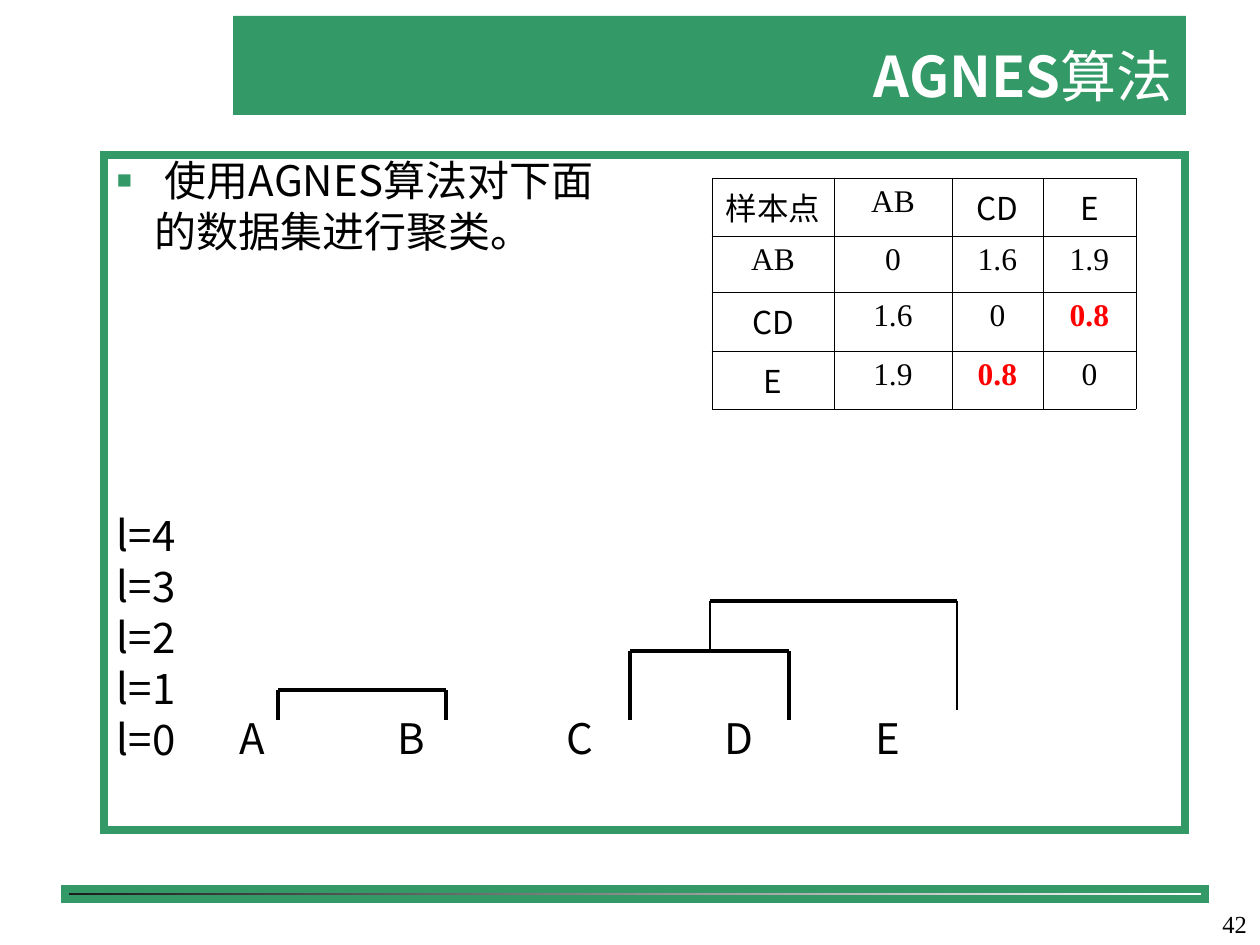
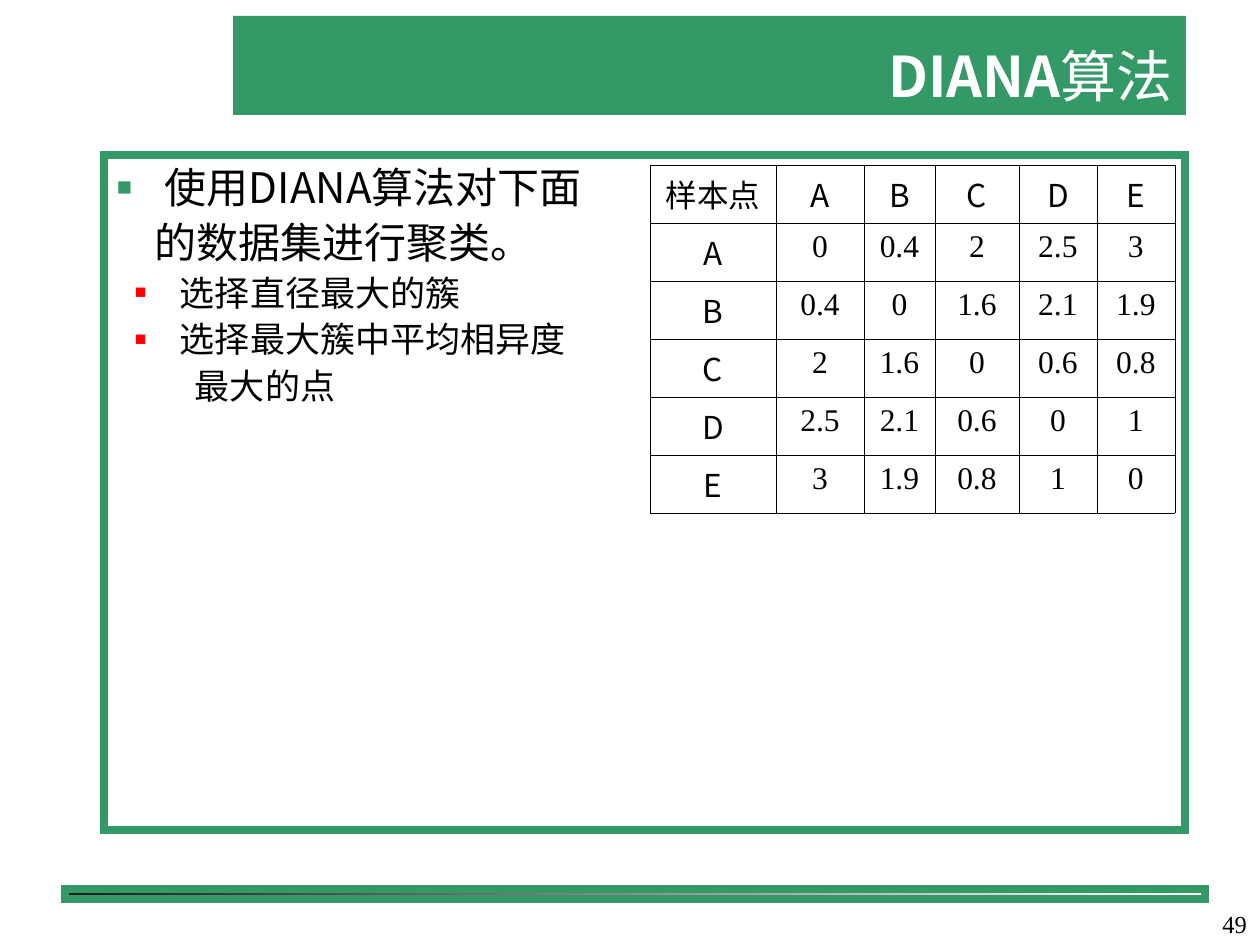
from lxml import etree
from pptx import Presentation
from pptx import util as u
from pptx.dml.color import RGBColor
from pptx.enum import shapes, text
from pptx.oxml import ns

SCALE = 914400 / 126  # EMU in one px
COLORS = {"green": "339966", "red": "FF0000", "black": "000000",
          "white": "FFFFFF", "dark": "1C1C1C"}
SANS = "Noto Sans CJK JP"
TITLE_FONT = "Noto Sans CJK SC"
SERIF = "Times New Roman"
INSET = 13


def px(length):
    return u.Emu(round(length * SCALE))


def rgb(name):
    return RGBColor.from_string(COLORS[name])


def add_xml(parent, tag, **attributes):
    return etree.SubElement(parent, ns.qn(tag), attributes)


# Text
def style(para, size, color="black", face=SANS, align=None):
    font = para.font
    font.size, font.name, font.bold = u.Pt(size), face, False
    font.color.rgb = rgb(color)
    east_asian = TITLE_FONT if face == TITLE_FONT else SANS
    latin = font._element.find(ns.qn("a:latin"))
    latin.addnext(latin.makeelement(ns.qn("a:ea"), {"typeface": east_asian}))
    if align is not None:
        para.alignment = align


def set_frame(box, top=6, bottom=6, anchor=text.MSO_ANCHOR.TOP):
    frame = box.text_frame
    frame.word_wrap = True
    frame.margin_left = frame.margin_right = px(INSET)
    frame.margin_top, frame.margin_bottom = px(top), px(bottom)
    frame.vertical_anchor = anchor
    return frame


def add_line(frame, words, size=24, pitch=26.1, before=3, left=0, hang=0,
             bullet=None):
    """Write one paragraph; a bullet is a (color, percent) pair."""
    first = not frame.text
    para = frame.paragraphs[0] if first else frame.add_paragraph()
    para.text = words
    para.alignment = text.PP_ALIGN.LEFT
    props = para._p.get_or_add_pPr()
    props.set("marL", str(px(left)))
    props.set("indent", str(px(-hang)))
    if bullet:
        color, percent = bullet
        add_xml(add_xml(props, "a:buClr"), "a:srgbClr", val=COLORS[color])
        add_xml(props, "a:buSzPct", val=str(percent * 1000))
        add_xml(props, "a:buFont", typeface=SERIF)
        add_xml(props, "a:buChar", char="■")
    else:
        add_xml(props, "a:buNone")
    style(para, size)
    para.line_spacing = u.Pt(pitch)
    if not first:
        para.space_before = u.Pt(before)


# Shapes
def add_box(page, left, top, width, height, fill=None, border=None):
    box = page.shapes.add_shape(shapes.MSO_SHAPE.RECTANGLE,
                                px(left), px(top), px(width), px(height))
    box.shadow.inherit = False
    if fill:
        box.fill.solid()
        box.fill.fore_color.rgb = rgb(fill)
    else:
        box.fill.background()
    if border:
        box.line.color.rgb = rgb(border)
        box.line.width = u.Pt(4.5)
        outline = box._element.spPr.find(ns.qn("a:ln"))
        add_xml(outline, "a:miter", lim="800000")
    else:
        box.line.fill.background()
    return box


def add_rule(page, x1, y1, x2, y2, weight):
    rule = page.shapes.add_connector(shapes.MSO_CONNECTOR.STRAIGHT,
                                     px(x1), px(y1), px(x2), px(y2))
    rule.line.color.rgb = rgb("black")
    rule.line.width = u.Pt(weight)
    add_xml(rule._element.spPr, "a:effectLst")


def add_bracket(page, left, right, top, left_foot, right_foot, leg_weight=2):
    add_rule(page, left, top, left, left_foot, leg_weight)
    add_rule(page, left, top, right, top, 2)
    add_rule(page, right, top, right, right_foot, leg_weight)


def add_sample(page, name, left):
    box = page.shapes.add_textbox(px(left - INSET), px(717), px(60), px(50))
    add_line(set_frame(box, top=0, bottom=0), name)


# Distance tables
def add_borders(cell):
    props = cell._tc.get_or_add_tcPr()
    for place, side in enumerate("LRTB"):
        line = props.makeelement(ns.qn("a:ln" + side), {"w": str(u.Pt(0.45))})
        props.insert(place, line)
        add_xml(add_xml(line, "a:solidFill"), "a:srgbClr", val=COLORS["black"])


def add_distances(page, left, top, widths, heights, rows, marked=None):
    frame = page.shapes.add_table(len(rows), len(widths), px(left), px(top),
                                  px(sum(widths)), px(sum(heights)))
    table = frame.table
    table.first_row = table.horz_banding = False
    for column, width in zip(table.columns, widths):
        column.width = px(width)
    for row, height, values in zip(table.rows, heights, rows):
        row.height = px(height)
        for cell, value in zip(row.cells, values):
            cell.text = value
            cell.fill.background()
            add_borders(cell)
            para = cell.text_frame.paragraphs[0]
            sans = value.isalpha() and value != "AB"
            style(para, 18, "red" if value == marked else "black",
                  SANS if sans else SERIF, text.PP_ALIGN.CENTER)
            para.font.bold = value == marked


# Parts both slides share
def add_page(deck, name, number, body_inset):
    page = deck.slides.add_slide(deck.slide_layouts[6])

    band = add_box(page, 65, 889, 1140, 10, border="green")
    band.fill.gradient()
    band.fill.gradient_angle = 0
    for stop, color in zip(band.fill.gradient_stops, ("dark", "white")):
        stop.color.rgb = rgb(color)

    title = add_box(page, 233, 16, 953, 99, fill="green")
    frame = set_frame(title, anchor=text.MSO_ANCHOR.BOTTOM)
    para = frame.paragraphs[0]
    style(para, 32, "white", TITLE_FONT, text.PP_ALIGN.RIGHT)
    for words, bold in ((name, True), ("算法", False)):
        span = para.add_run()
        span.text = words
        span.font.bold = bold

    footer = page.shapes.add_textbox(px(998), px(881), px(262), px(63))
    para = set_frame(footer, anchor=text.MSO_ANCHOR.BOTTOM).paragraphs[0]
    para.text = number
    style(para, 14, face=SERIF, align=text.PP_ALIGN.RIGHT)

    body = add_box(page, 104, 155, 1081, 675, border="green")
    return page, set_frame(body, top=body_inset)


def add_task(body, name, pitch):
    add_line(body, f"使用{name}算法对下面", pitch=pitch, left=48, hang=48,
             bullet=("green", 60))
    add_line(body, "的数据集进行聚类。", pitch=pitch, left=38)


def build_agnes(deck):
    page, body = add_page(deck, "AGNES", "42", body_inset=4)
    add_task(body, "AGNES", 26.1)

    # Dendrogram levels, with the samples beside the lowest one
    add_line(body, "l=4", before=148)
    for level in (3, 2, 1, 0):
        add_line(body, f"l={level}")
    for name, left in zip("ABCDE", (240, 398, 567, 725, 876)):
        add_sample(page, name, left)

    add_distances(page, 712, 178, (122, 118, 91, 93), (58, 56, 59, 58),
                  [("样本点", "AB", "CD", "E"),
                   ("AB", "0", "1.6", "1.9"),
                   ("CD", "1.6", "0", "0.8"),
                   ("E", "1.9", "0.8", "0")], marked="0.8")

    # Merges: A with B, C with D, then CD with E
    add_bracket(page, 278, 446, 690, 720, 720)
    add_bracket(page, 630, 789, 651, 720, 720)
    add_bracket(page, 710, 957, 601, 651, 710, leg_weight=0.75)


def build_diana(deck):
    page, body = add_page(deck, "DIANA", "49", body_inset=7)
    add_task(body, "DIANA", 28.4)
    step = {"size": 20, "pitch": 24.1, "before": 2.5}
    for words in ("选择直径最大的簇", "选择最大簇中平均相异度"):
        add_line(body, words, left=63, hang=45, bullet=("red", 55), **step)
    add_line(body, "最大的点", left=78, **step)

    add_distances(page, 650, 165, (126, 88, 71, 84, 78, 78), (58,) * 6,
                  [("样本点", "A", "B", "C", "D", "E"),
                   ("A", "0", "0.4", "2", "2.5", "3"),
                   ("B", "0.4", "0", "1.6", "2.1", "1.9"),
                   ("C", "2", "1.6", "0", "0.6", "0.8"),
                   ("D", "2.5", "2.1", "0.6", "0", "1"),
                   ("E", "3", "1.9", "0.8", "1", "0")])


def main():
    deck = Presentation()
    deck.slide_width, deck.slide_height = px(1260), px(945)
    build_agnes(deck)
    build_diana(deck)
    deck.save("out.pptx")


if __name__ == "__main__":
    main()
